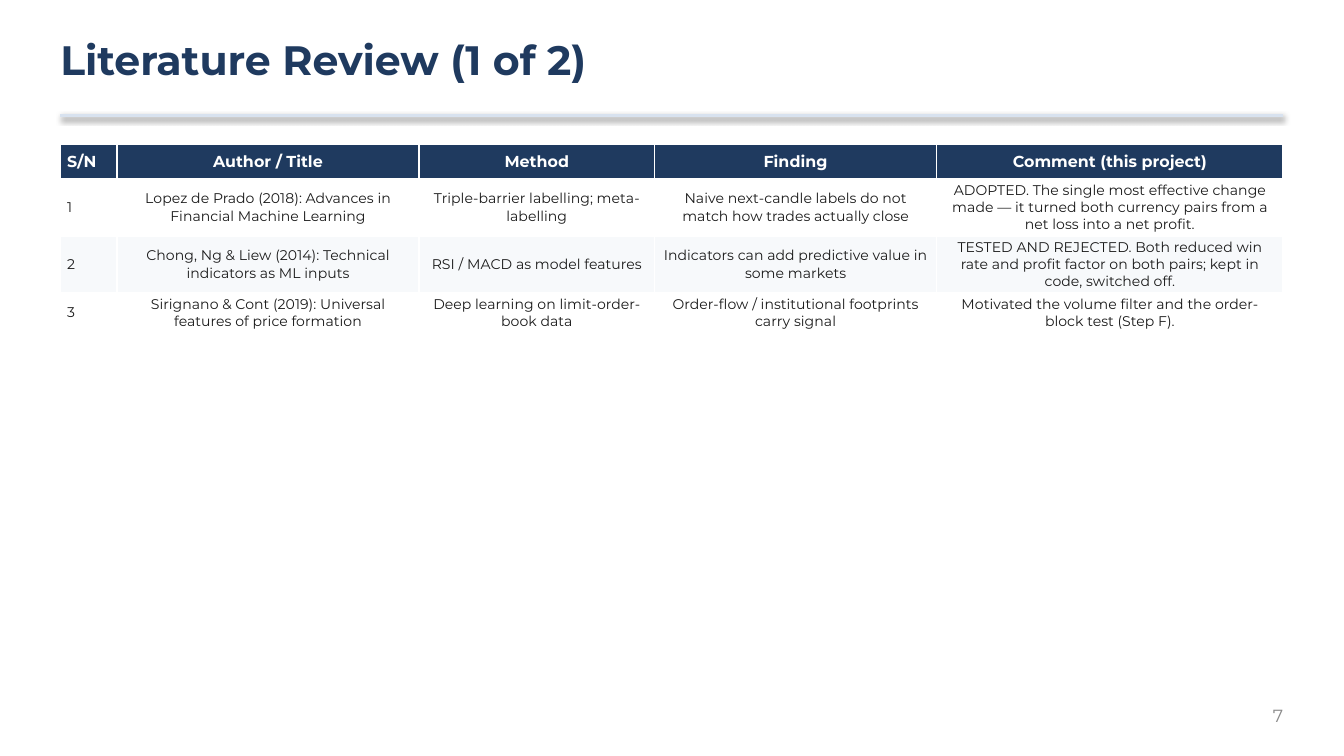
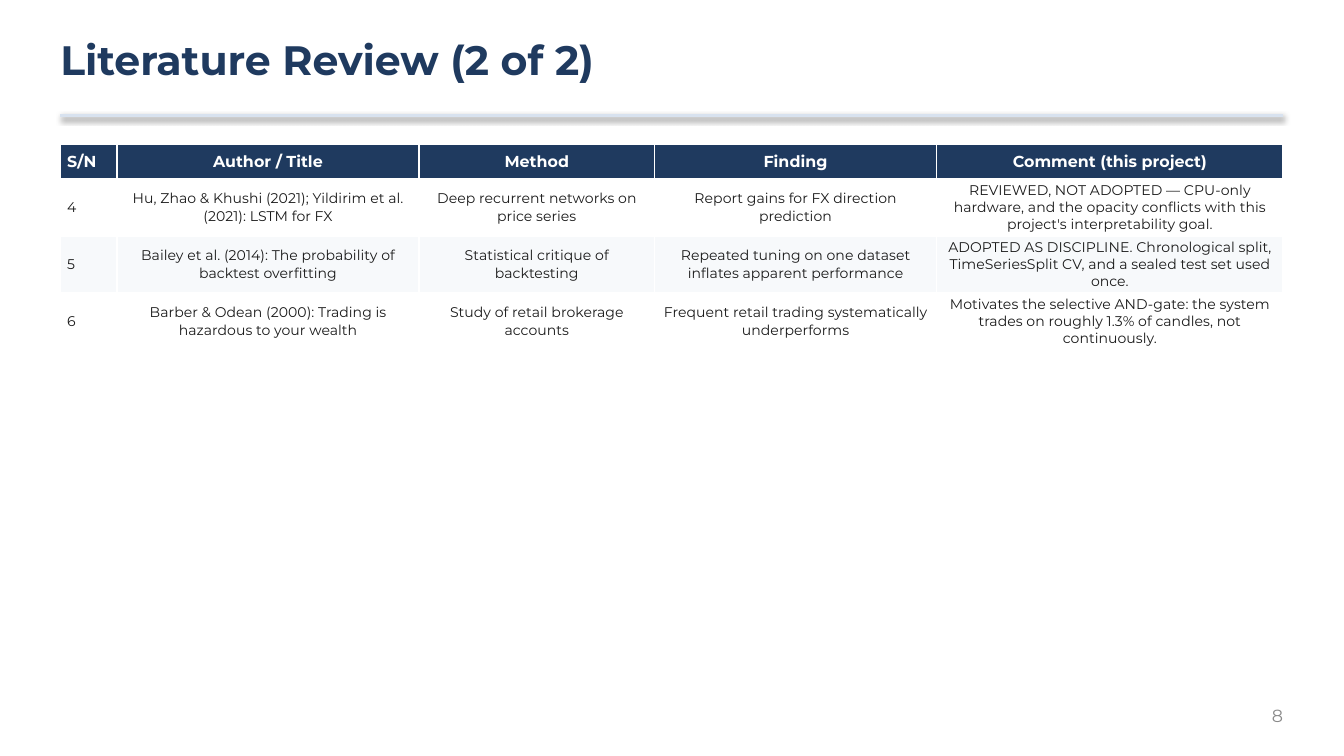
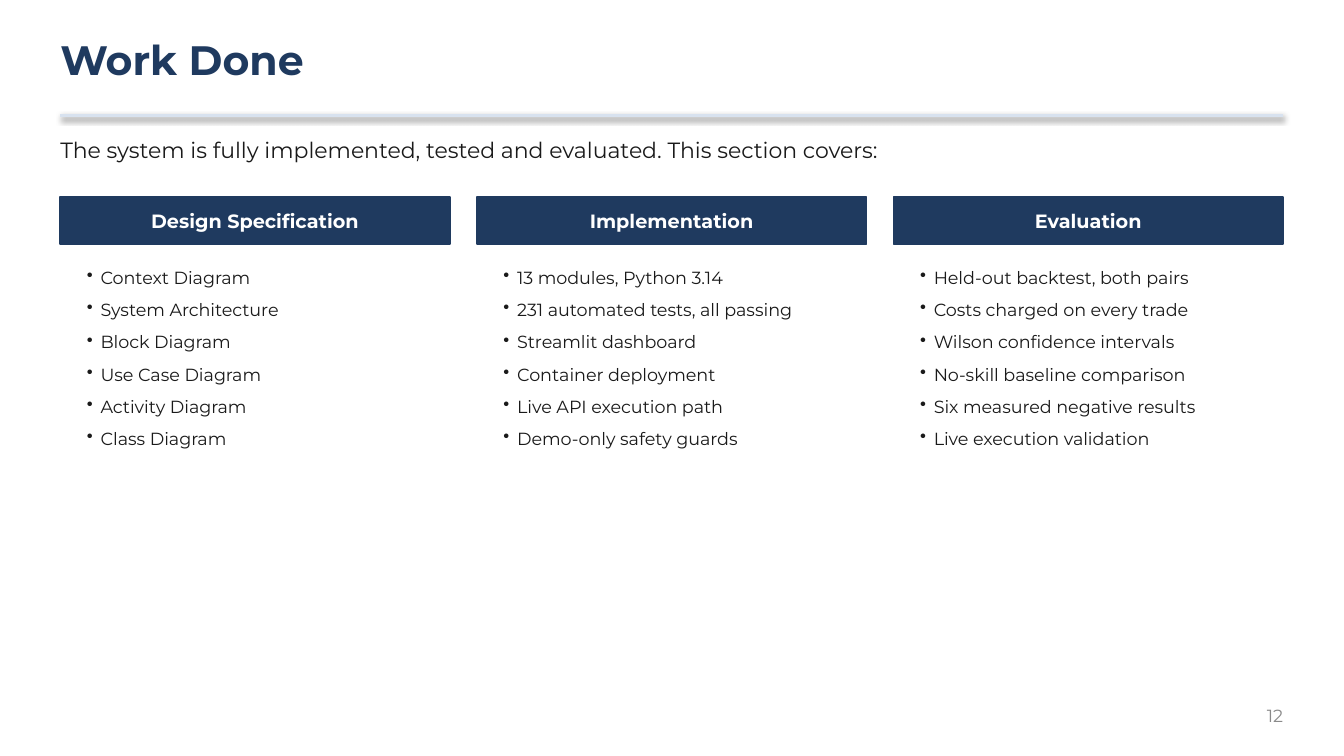
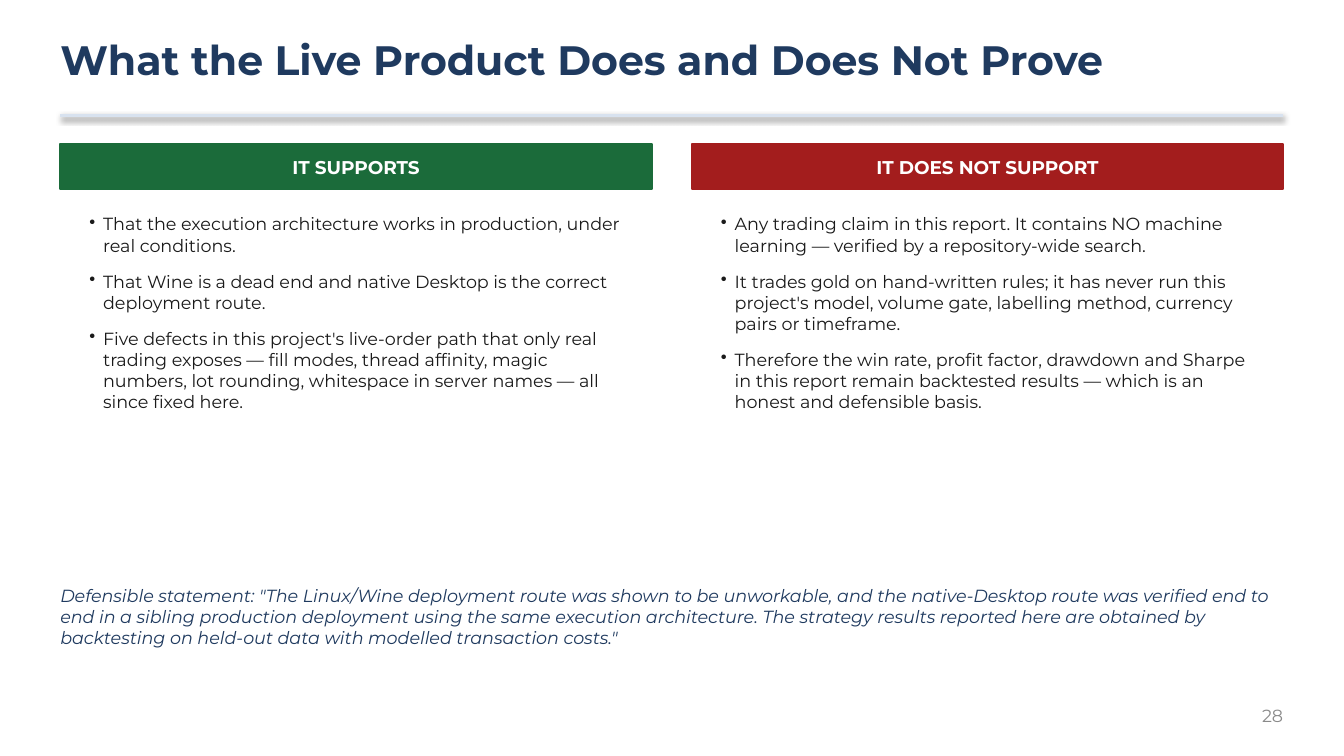
from lxml import etree
from pptx import Presentation
from pptx.dml.color import RGBColor
from pptx.enum.shapes import MSO_CONNECTOR, MSO_SHAPE
from pptx.enum.text import MSO_ANCHOR, MSO_AUTO_SIZE, PP_ALIGN
from pptx.oxml.ns import qn
from pptx.util import Cm, Pt

LEFT, CENTER, RIGHT = PP_ALIGN.LEFT, PP_ALIGN.CENTER, PP_ALIGN.RIGHT
TOP, MIDDLE = MSO_ANCHOR.TOP, MSO_ANCHOR.MIDDLE
NO_AUTOFIT = MSO_AUTO_SIZE.NONE
STRAIGHT = MSO_CONNECTOR.STRAIGHT
RECTANGLE = MSO_SHAPE.RECTANGLE

NAVY = RGBColor(0x1F, 0x3A, 0x5F)
RULE = RGBColor(0xD8, 0xE2, 0xEF)
INK = RGBColor(0x1A, 0x1A, 0x1A)
GREY = RGBColor(0x8A, 0x8A, 0x8A)
WHITE = RGBColor(0xFF, 0xFF, 0xFF)
STRIPE = RGBColor(0xF7, 0xF9, 0xFB)
GREEN = RGBColor(0x1B, 0x6B, 0x3A)
RED = RGBColor(0xA3, 0x1D, 0x1D)
FONT = "Montserrat"

# Lengths in centimetres
PAGE_WIDTH, PAGE_HEIGHT = 25.4, 14.29
MARGIN = 1.14
CONTENT_WIDTH = 23.11
BODY_TOP = 2.72
TABLE_COLUMNS = (1.07, 5.71, 4.45, 5.33, 6.55)
TABLE_ROW = 0.66
BULLET_INDENT = 0.26

REVIEW_HEADER = ("S/N", "Author / Title", "Method", "Finding", "Comment (this project)")
REVIEWS = [
    {
        "title": "Literature Review (1 of 2)",
        "number": 7,
        "rows": [
            ("1", "Lopez de Prado (2018): Advances in Financial Machine Learning",
             "Triple-barrier labelling; meta-labelling",
             "Naive next-candle labels do not match how trades actually close",
             "ADOPTED. The single most effective change made — it turned both currency "
             "pairs from a net loss into a net profit."),
            ("2", "Chong, Ng & Liew (2014): Technical indicators as ML inputs",
             "RSI / MACD as model features",
             "Indicators can add predictive value in some markets",
             "TESTED AND REJECTED. Both reduced win rate and profit factor on both "
             "pairs; kept in code, switched off."),
            ("3", "Sirignano & Cont (2019): Universal features of price formation",
             "Deep learning on limit-order-book data",
             "Order-flow / institutional footprints carry signal",
             "Motivated the volume filter and the order-block test (Step F)."),
        ],
    },
    {
        "title": "Literature Review (2 of 2)",
        "number": 8,
        "rows": [
            ("4", "Hu, Zhao & Khushi (2021); Yildirim et al. (2021): LSTM for FX",
             "Deep recurrent networks on price series",
             "Report gains for FX direction prediction",
             "REVIEWED, NOT ADOPTED — CPU-only hardware, and the opacity conflicts "
             "with this project's interpretability goal."),
            ("5", "Bailey et al. (2014): The probability of backtest overfitting",
             "Statistical critique of backtesting",
             "Repeated tuning on one dataset inflates apparent performance",
             "ADOPTED AS DISCIPLINE. Chronological split, TimeSeriesSplit CV, and a "
             "sealed test set used once."),
            ("6", "Barber & Odean (2000): Trading is hazardous to your wealth",
             "Study of retail brokerage accounts",
             "Frequent retail trading systematically underperforms",
             "Motivates the selective AND-gate: the system trades on roughly 1.3% of "
             "candles, not continuously."),
        ],
    },
]

WORK_INTRO = "The system is fully implemented, tested and evaluated. This section covers:"
WORK_COLUMNS = [
    ("Design Specification", NAVY, [
        "Context Diagram", "System Architecture", "Block Diagram",
        "Use Case Diagram", "Activity Diagram", "Class Diagram"]),
    ("Implementation", NAVY, [
        "13 modules, Python 3.14", "231 automated tests, all passing",
        "Streamlit dashboard", "Container deployment",
        "Live API execution path", "Demo-only safety guards"]),
    ("Evaluation", NAVY, [
        "Held-out backtest, both pairs", "Costs charged on every trade",
        "Wilson confidence intervals", "No-skill baseline comparison",
        "Six measured negative results", "Live execution validation"]),
]

PROOF_COLUMNS = [
    ("IT SUPPORTS", GREEN, [
        "That the execution architecture works in production, under real conditions.",
        "That Wine is a dead end and native Desktop is the correct deployment route.",
        "Five defects in this project's live-order path that only real trading exposes "
        "— fill modes, thread affinity, magic numbers, lot rounding, whitespace in "
        "server names — all since fixed here."]),
    ("IT DOES NOT SUPPORT", RED, [
        "Any trading claim in this report. It contains NO machine learning — verified "
        "by a repository-wide search.",
        "It trades gold on hand-written rules; it has never run this project's model, "
        "volume gate, labelling method, currency pairs or timeframe.",
        "Therefore the win rate, profit factor, drawdown and Sharpe in this report "
        "remain backtested results — which is an honest and defensible basis."]),
]
PROOF_STATEMENT = (
    'Defensible statement: "The Linux/Wine deployment route was shown to be unworkable, '
    "and the native-Desktop route was verified end to end in a sibling production "
    "deployment using the same execution architecture. The strategy results reported "
    'here are obtained by backtesting on held-out data with modelled transaction costs."'
)


def style_paragraph(para, size, color, bold=False, italic=False, align=LEFT):
    para.alignment = align
    for span in para.runs:
        font = span.font
        font.name, font.size = FONT, Pt(size)
        font.bold, font.italic = bold, italic
        font.color.rgb = color


def set_insets(holder, horizontal, vertical):
    """Set the margins of a text frame or a table cell."""
    holder.margin_left = holder.margin_right = Cm(horizontal)
    holder.margin_top = holder.margin_bottom = Cm(vertical)


def fill_frame(frame, text, size, color, **style):
    """Put one line or block of text in a frame without margins."""
    frame.word_wrap = True
    frame.auto_size = NO_AUTOFIT
    frame.vertical_anchor = TOP
    set_insets(frame, 0, 0)
    frame.text = text
    style_paragraph(frame.paragraphs[0], size, color, **style)


def add_text(page, left, top, width, height, text, size, color, **style):
    box = page.shapes.add_textbox(Cm(left), Cm(top), Cm(width), Cm(height))
    fill_frame(box.text_frame, text, size, color, **style)


def add_page(deck, title_text, number):
    page = deck.slides.add_slide(deck.slide_layouts[5])
    title = page.shapes.title
    title.left, title.top = Cm(MARGIN), Cm(0.66)
    title.width, title.height = Cm(CONTENT_WIDTH), Cm(1.27)
    fill_frame(title.text_frame, title_text, 22, NAVY, bold=True)

    right = MARGIN + CONTENT_WIDTH
    rule = page.shapes.add_connector(STRAIGHT, Cm(MARGIN), Cm(2.18), Cm(right), Cm(2.18))
    rule.line.color.rgb = RULE
    rule.line.width = Pt(1.5)
    add_text(page, right - 1.02, 13.33, 1.02, 0.64, str(number), 9.4, GREY, align=RIGHT)
    return page


def add_review_table(page, rows):
    lines = [REVIEW_HEADER, *rows]
    table = page.shapes.add_table(
        len(lines), len(TABLE_COLUMNS), Cm(MARGIN), Cm(BODY_TOP),
        Cm(CONTENT_WIDTH), Cm(TABLE_ROW * len(lines))).table
    for column, width in zip(table.columns, TABLE_COLUMNS):
        column.width = Cm(width)
    for row_index, line in enumerate(lines):
        header = row_index == 0
        fill = NAVY if header else (STRIPE, WHITE)[row_index % 2]
        for column_index, text in enumerate(line):
            cell = table.cell(row_index, column_index)
            cell.fill.solid()
            cell.fill.fore_color.rgb = fill
            cell.vertical_anchor = MIDDLE
            set_insets(cell, 0.13, 0.05)
            cell.text = text
            style_paragraph(cell.text_frame.paragraphs[0], 8.5 if header else 7.5,
                            WHITE if header else INK, bold=header,
                            align=CENTER if column_index else LEFT)


def add_heading(page, left, top, width, height, text, size, color):
    band = page.shapes.add_shape(RECTANGLE, Cm(left), Cm(top), Cm(width), Cm(height))
    band.shadow.inherit = False
    band.fill.solid()
    band.fill.fore_color.rgb = color
    band.line.color.rgb = color
    band.line.width = Pt(1)
    frame = band.text_frame
    set_insets(frame, 0.08, 0.05)
    frame.vertical_anchor = MIDDLE
    frame.text = text
    style_paragraph(frame.paragraphs[0], size, WHITE, bold=True, align=CENTER)


def add_bullets(page, left, top, width, height, items, space_after):
    frame = page.shapes.add_textbox(Cm(left), Cm(top), Cm(width), Cm(height)).text_frame
    frame.word_wrap = True
    frame.text = "\n".join(items)
    for para in frame.paragraphs:
        properties = para._p.get_or_add_pPr()
        properties.set("marL", str(Cm(BULLET_INDENT)))
        properties.set("indent", str(-Cm(BULLET_INDENT)))
        etree.SubElement(properties, qn("a:buChar")).set("char", "•")
        para.space_after = Pt(space_after)
        style_paragraph(para, 9.4, INK)


def add_columns(page, columns, top, gap, heading_height, heading_size,
                list_inset, list_height, space_after):
    """Spread headed bullet lists evenly over the content width."""
    width = (CONTENT_WIDTH - gap * (len(columns) - 1)) / len(columns)
    for index, (heading, color, items) in enumerate(columns):
        left = MARGIN + index * (width + gap)
        add_heading(page, left, top, width, heading_height, heading, heading_size, color)
        add_bullets(page, left + list_inset, top + 1.19, width - 2 * list_inset,
                    list_height, items, space_after)


def main():
    deck = Presentation()
    deck.slide_width, deck.slide_height = Cm(PAGE_WIDTH), Cm(PAGE_HEIGHT)

    for review in REVIEWS:
        page = add_page(deck, review["title"], review["number"])
        add_review_table(page, review["rows"])

    page = add_page(deck, "Work Done", 12)
    add_text(page, MARGIN, 2.59, CONTENT_WIDTH, 0.76, WORK_INTRO, 11.8, INK)
    add_columns(page, WORK_COLUMNS, top=3.73, gap=0.51, heading_height=0.89,
                heading_size=10.3, list_inset=0.25, list_height=5.84, space_after=6)

    page = add_page(deck, "What the Live Product Does and Does Not Prove", 28)
    add_columns(page, PROOF_COLUMNS, top=BODY_TOP, gap=0.76, heading_height=0.86,
                heading_size=9.9, list_inset=0.3, list_height=6.6, space_after=8)
    add_text(page, MARGIN, 11.05, CONTENT_WIDTH, 1.78, PROOF_STATEMENT, 9.4, NAVY,
             italic=True)

    deck.save("out.pptx")


if __name__ == "__main__":
    main()
